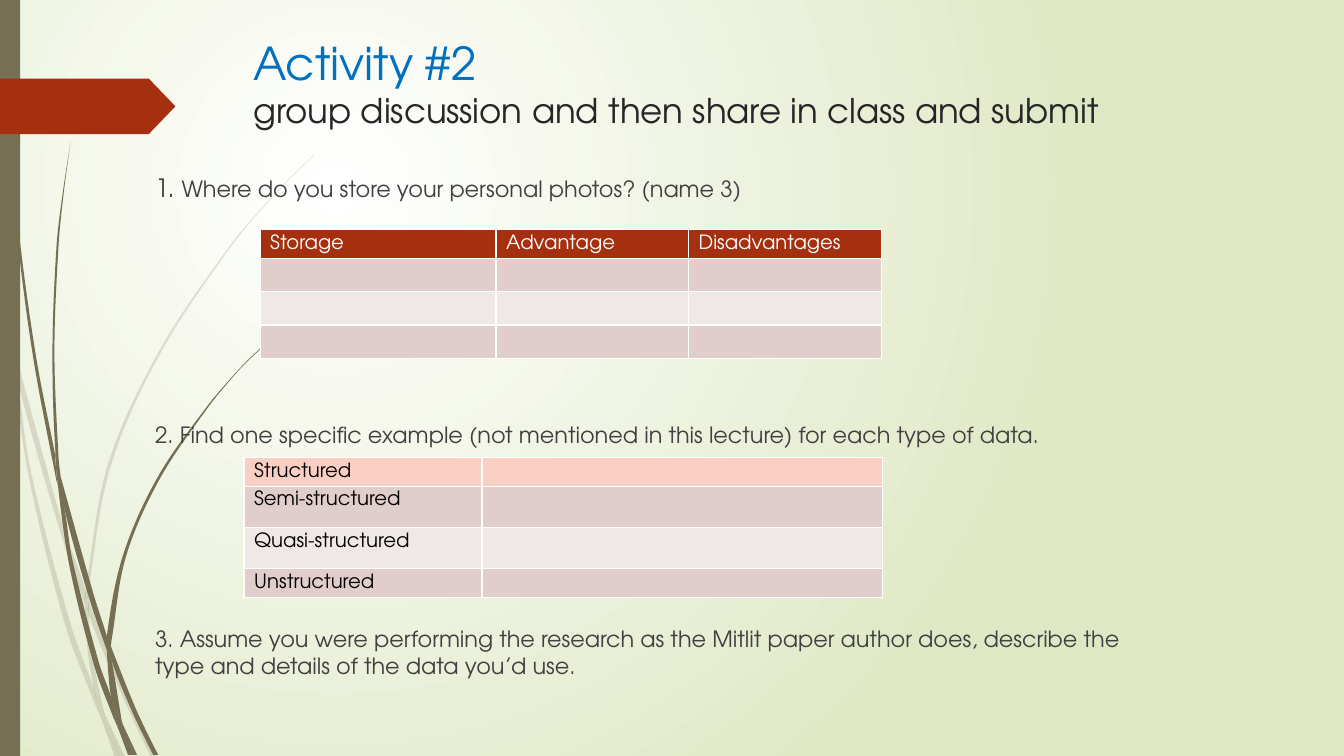
from collections import namedtuple
from dataclasses import dataclass

from lxml.etree import SubElement
from pptx import Presentation
from pptx.dml.color import RGBColor
from pptx.enum.shapes import MSO_SHAPE
from pptx.enum.text import MSO_ANCHOR, MSO_AUTO_SIZE, PP_ALIGN
from pptx.oxml.ns import qn
from pptx.util import Pt

PX = 9144  # 100 px to the inch
Box = namedtuple("Box", "left top width height")


@dataclass(frozen=True)
class Theme:
    font: str = "TeX Gyre Adventor"
    white: str = "FFFFFF"
    black: str = "000000"
    meadow: str = "DFE8C4"
    bark: str = "766F54"
    rust: str = "A53010"
    blue: str = "0070C0"
    title_ink: str = "262626"
    body_ink: str = "404040"
    peach: str = "F9CFC3"
    bands: tuple = ("E1CDCC", "F0E8E7")
    title_size: float = 32.4
    subtitle_size: float = 24.3
    number_size: int = 18
    body_size: int = 16
    table_size: int = 14


THEME = Theme()

# Corner points of each piece of grass, as x,y in px
PALE_GRASS = [
    "11,350 9,322 0,282 0,299 10,344",
    "58,522 84,599 85,586 62,520 14,345 17,376",
    "92,607 88,596 88,610 123,694 150,751 155,751 127,692",
    "119,751 124,751 105,711",
    "93,683 70,619 31,469 17,376 11,350 28,470 65,621 92,693 101,714 99,707",
    "84,599 87,646 93,683 96,692 105,711 103,706 91,646 88,610 88,608",
    "88,584 110,462 160,349 229,245 268,198 290,175 312,154 312,153 289,175 268,197 "
    "228,244 158,348 107,461 85,584 85,586 88,596",
    "101,714 114,751 119,751",
    "88,608 88,610 88,596 85,586 84,599",
    "96,692 93,683 99,707 101,714 119,751 105,711",
]
DARK_GRASS = [
    "7,110 17,233 33,355 56,477 57,481 55,457 55,453 36,355 19,232 8,109 5,48 4,0 3,0 4,48",
    "88,592 106,645 106,633 106,631 93,590 60,472 64,505",
    "113,649 110,641 111,656 132,708 152,749 157,749 136,706",
    "110,691 98,657 72,556 64,505 57,477 68,557 93,659 111,708 117,722 116,717",
    "60,472 58,453 54,349 58,245 63,193 70,141 62,193 56,245 52,349 55,449",
    "133,749 136,749 122,719",
    "57,477 64,505 60,472 55,449 55,453",
    "111,633 125,552 158,476 205,406 231,374 245,359 261,344 260,344 245,358 231,373 "
    "204,405 156,474 122,551 106,631 110,641",
    "117,722 127,749 131,749",
    "106,645 110,691 116,706 122,719 121,716 111,656 109,651",
    "106,645 109,651 111,656 110,641 106,631 106,633",
    "116,706 110,691 116,717 117,722 130,749 133,749 122,719",
]


def emu(box):
    return [value * PX for value in box]


def color(code):
    return RGBColor.from_string(code)


def style(font, size, ink):
    font.name, font.size, font.color.rgb = THEME.font, Pt(size), color(ink)


def paint(shape, code, alpha=None):
    shape.shadow.inherit = False
    shape.fill.solid()
    shape.fill.fore_color.rgb = color(code)
    shape.line.fill.background()
    if alpha:
        rgb = shape.fill._xPr.find(f".//{qn('a:srgbClr')}")
        SubElement(rgb, qn("a:alpha"), val=str(alpha * 1000))


def bend(shape):
    """Turn the straight sides into curves, keeping sharp corners."""
    sides = list(shape._element.iter(qn("a:lnTo")))
    ends = [complex(int(side[0].get("x")), int(side[0].get("y"))) for side in sides]
    count = len(ends)
    tangents = []
    for i, here in enumerate(ends):
        before, after = here - ends[i - 1], ends[(i + 1) % count] - here
        cosine = (before * after.conjugate()).real / abs(before) / abs(after)
        chord = before + after
        tangents.append(chord / abs(chord) if cosine > 0.8 else 0)
    for i, side in enumerate(sides):
        reach = abs(ends[i] - ends[i - 1]) / 3
        side.tag = qn("a:cubicBezTo")
        handles = (ends[i - 1] + tangents[i - 1] * reach, ends[i] - tangents[i] * reach)
        for index, handle in enumerate(handles):
            side.insert(index, side.makeelement(
                qn("a:pt"), {"x": str(round(handle.real)), "y": str(round(handle.imag))}))


def add_grass(page, box, pieces, alpha=None):
    for piece in pieces:
        pairs = [pair.split(",") for pair in piece.split()]
        outline = [((box.left + int(x)) * PX, (box.top + int(y)) * PX) for x, y in pairs]
        builder = page.shapes.build_freeform(*outline[0], scale=1.0)
        builder.add_line_segments(outline[1:] + outline[:1], close=True)
        shape = builder.convert_to_shape()
        bend(shape)
        paint(shape, THEME.bark, alpha)


def add_background(page):
    fill = page.background.fill
    fill.gradient()
    for stop, code, position in zip(fill.gradient_stops, (THEME.white, THEME.meadow), (0, 1)):
        stop.color.rgb, stop.position = color(code), position
    # Turn the linear gradient into a round one
    linear = next(page._element.iter(qn("a:lin")))
    gradient = linear.getparent()
    gradient.remove(linear)
    circle = SubElement(gradient, qn("a:path"), path="circle")
    SubElement(circle, qn("a:fillToRect"), l="50000", t="50000", r="100000", b="100000")


def add_decoration(page, box):
    add_grass(page, box, PALE_GRASS, alpha=20)
    add_grass(page, box, DARK_GRASS)
    # Side bar and arrow tab
    bar = page.shapes.add_shape(MSO_SHAPE.RECTANGLE, *emu((box.left, box.top, 20, box.height)))
    paint(bar, THEME.bark)
    tab = page.shapes.add_shape(MSO_SHAPE.PENTAGON, *emu((box.left, box.top + 78, 174, 55)))
    tab.adjustments[0] = 0.48
    paint(tab, THEME.rust)


def fill_title(page, box, *lines):
    title = page.shapes.title
    title.left, title.top, title.width, title.height = emu(box)
    frame = title.text_frame
    frame.word_wrap, frame.auto_size = True, MSO_AUTO_SIZE.NONE
    frame.vertical_anchor = MSO_ANCHOR.TOP
    para = frame.paragraphs[0]
    para.alignment = PP_ALIGN.LEFT
    for index, (text, size, ink) in enumerate(lines):
        if index:
            para.add_line_break()
        span = para.add_run()
        span.text = text
        style(span.font, size, ink)


def add_question(page, box, number, text, number_size=THEME.body_size):
    frame = page.shapes.add_textbox(*emu(box)).text_frame
    frame.word_wrap = True
    para = frame.paragraphs[0]
    for part, size in ((f"{number}. ", number_size), (text, THEME.body_size)):
        span = para.add_run()
        span.text = part
        style(span.font, size, THEME.body_ink)


def add_border(cell):
    properties = cell._tc.get_or_add_tcPr()
    for index, side in enumerate(("a:lnL", "a:lnR", "a:lnT", "a:lnB")):
        line = properties.makeelement(qn(side), {"w": str(Pt(1))})
        SubElement(SubElement(line, qn("a:solidFill")), qn("a:srgbClr"), val=THEME.white)
        properties.insert(index, line)


def add_answer_table(page, box, widths, heights, texts, header_fill, header_ink):
    table = page.shapes.add_table(len(heights), len(widths), *emu(box)).table
    for column, width in zip(table.columns, widths):
        column.width = width * PX
    for r, height in enumerate(heights):
        table.rows[r].height = height * PX
        for c in range(len(widths)):
            cell = table.cell(r, c)
            cell.margin_top, cell.margin_bottom = 5 * PX, 0
            cell.fill.solid()
            cell.fill.fore_color.rgb = color(THEME.bands[(r - 1) % 2] if r else header_fill)
            add_border(cell)
            cell.text = texts.get((r, c), "")
            para = cell.text_frame.paragraphs[0]
            style(para.font, THEME.table_size, THEME.black if r else header_ink)
            para.font.bold = False


def build_activity(page, box):
    add_background(page)
    add_decoration(page, box)
    fill_title(page, Box(box.left + 241, box.top + 30, 875, 96),
               ("Activity #2", THEME.title_size, THEME.blue),
               ("group discussion and then share in class and submit",
                THEME.subtitle_size, THEME.title_ink))
    # Questions
    left = box.left + 144
    add_question(page, Box(left, box.top + 166, 1012, 40), 1,
                 "Where do you store your personal photos? (name 3)", THEME.number_size)
    add_question(page, Box(left, box.top + 413, 1012, 37), 2,
                 "Find one specific example (not mentioned in this lecture) for each type of data.")
    add_question(page, Box(left, box.top + 615, 1012, 64), 3,
                 "Assume you were performing the research as the Mitlit paper author does, "
                 "describe the type and details of the data you’d use.")
    # Answer tables
    headings = ("Storage", "Advantage", "Disadvantages")
    add_answer_table(page, Box(box.left + 258, box.top + 228, 616, 127),
                     (234, 191, 191), (28, 33, 33, 33),
                     {(0, c): text for c, text in enumerate(headings)},
                     THEME.rust, THEME.white)
    kinds = ("Structured", "Semi-structured", "Quasi-structured", "Unstructured")
    add_answer_table(page, Box(box.left + 242, box.top + 454, 633, 138),
                     (236, 397), (28, 41, 41, 28),
                     {(r, 0): text for r, text in enumerate(kinds)}, THEME.peach, THEME.black)


deck = Presentation()
canvas = Box(0, 0, 1333, 750)
deck.slide_width, deck.slide_height = canvas.width * PX, canvas.height * PX
build_activity(deck.slides.add_slide(deck.slide_layouts[5]), canvas)
deck.save("out.pptx")
